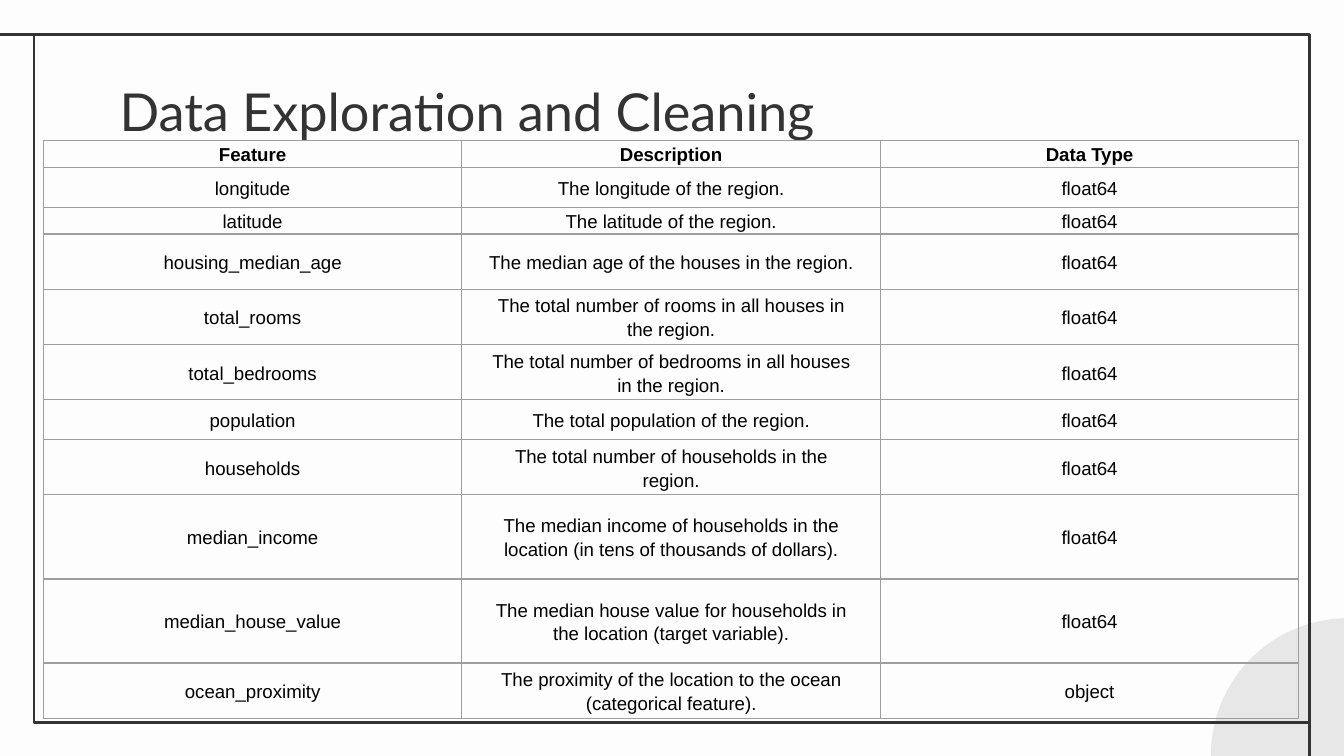
from lxml import etree
from pptx import Presentation
from pptx.dml.color import RGBColor as RGB
from pptx.enum.shapes import MSO_CONNECTOR as CONN, MSO_SHAPE as SHAPE
from pptx.enum.text import MSO_ANCHOR as ANCHOR, MSO_AUTO_SIZE as AUTO, PP_ALIGN as ALIGN
from pptx.oxml import parse_xml
from pptx.oxml.ns import nsdecls, qn
from pptx.util import Pt

COLORS = {"bg": "FDFDFD", "ink": "333333", "circle": "E8E7E7",
          "grid": "9E9E9E", "text": "000000"}


def color(name):
    return RGB.from_string(COLORS[name])


def write(p, text, size, font, ink, bold=False):
    r = p.add_run()
    r.text = text
    for key, value in {"size": Pt(size), "name": font, "bold": bold}.items():
        setattr(r.font, key, value)
    r.font.color.rgb = color(ink)


prs = Presentation()
prs.slide_width, prs.slide_height = Pt(720), Pt(405)
s = prs.slides.add_slide(prs.slide_layouts[5])
s.background.fill.solid()
s.background.fill.fore_color.rgb = color("bg")

# Corner circle
circle = s.shapes.add_shape(SHAPE.OVAL, Pt(648.7), Pt(331.2), Pt(147), Pt(147))
circle.shadow.inherit = False
circle.fill.solid()
circle.fill.fore_color.rgb = color("circle")
circle.line.fill.background()

# Frame and the two lines that run off its corners
frame = s.shapes.add_shape(SHAPE.RECTANGLE, Pt(18.2), Pt(18.3), Pt(683.4), Pt(368.6))
frame.shadow.inherit = False
frame.fill.background()
outlines = [frame]
for ends in [(18.7, 18.3, 0, 18.3), (701.7, 387, 701.7, 405)]:
    line = s.shapes.add_connector(CONN.STRAIGHT, *[Pt(v) for v in ends])
    etree.SubElement(line._element.spPr, qn("a:effectLst"))
    outlines.append(line)
for sp in outlines:
    sp.line.color.rgb = color("ink")
    sp.line.width = Pt(1.5)

# Title
title = s.shapes.title
for key, value in {"left": 56.9, "top": 35.3, "width": 607, "height": 45.4}.items():
    setattr(title, key, Pt(value))
tf = title.text_frame
for key, value in {"auto_size": AUTO.NONE, "word_wrap": True, "vertical_anchor": ANCHOR.TOP,
                   "margin_left": Pt(7.2), "margin_right": Pt(7.2),
                   "margin_top": Pt(7.2), "margin_bottom": Pt(7.2)}.items():
    setattr(tf, key, value)
tf.paragraphs[0].alignment = ALIGN.LEFT
write(tf.paragraphs[0], "Data Exploration and Cleaning", 28, "Lato", "ink")

# Feature table: row height, then the cell texts
ROWS = [
    (14.4, "Feature", "Description", "Data Type"),
    (21.3, "longitude", "The longitude of the region.", "float64"),
    (14.4, "latitude", "The latitude of the region.", "float64"),
    (29.6, "housing_median_age", "The median age of the houses in the region.", "float64"),
    (29.6, "total_rooms", "The total number of rooms in all houses in the region.", "float64"),
    (29.6, "total_bedrooms", "The total number of bedrooms in all houses in the region.",
     "float64"),
    (21.3, "population", "The total population of the region.", "float64"),
    (29.6, "households", "The total number of households in the region.", "float64"),
    (45.1, "median_income",
     "The median income of households in the location (in tens of thousands of dollars).",
     "float64"),
    (45.1, "median_house_value",
     "The median house value for households in the location (target variable).", "float64"),
    (29.6, "ocean_proximity",
     "The proximity of the location to the ocean (categorical feature).", "object"),
]
CELL = {"vertical_anchor": ANCHOR.MIDDLE, "margin_left": Pt(14.4), "margin_right": Pt(14.4),
        "margin_top": 0, "margin_bottom": 0}
PARA = {"alignment": ALIGN.CENTER, "line_spacing": 1.15, "space_after": Pt(10)}

table = s.shapes.add_table(len(ROWS), 3, Pt(23.2), Pt(75.3), Pt(672.6), Pt(309.6)).table
table.first_row = table.horz_banding = False
for col in table.columns:
    col.width = Pt(224.2)
for i, (height, *texts) in enumerate(ROWS):
    table.rows[i].height = Pt(height)
    for j, text in enumerate(texts):
        cell = table.cell(i, j)
        for key, value in CELL.items():
            setattr(cell, key, value)
        for side in "LRTB":
            cell._tc.get_or_add_tcPr().append(parse_xml(
                f'<a:ln{side} {nsdecls("a")} w="{Pt(0.75)}"><a:solidFill>'
                f'<a:srgbClr val="{COLORS["grid"]}"/></a:solidFill></a:ln{side}>'))
        cell.fill.background()
        p = cell.text_frame.paragraphs[0]
        for key, value in PARA.items():
            setattr(p, key, value)
        write(p, text, 10, "Arial", "text", bold=i == 0)

prs.save("out.pptx")
